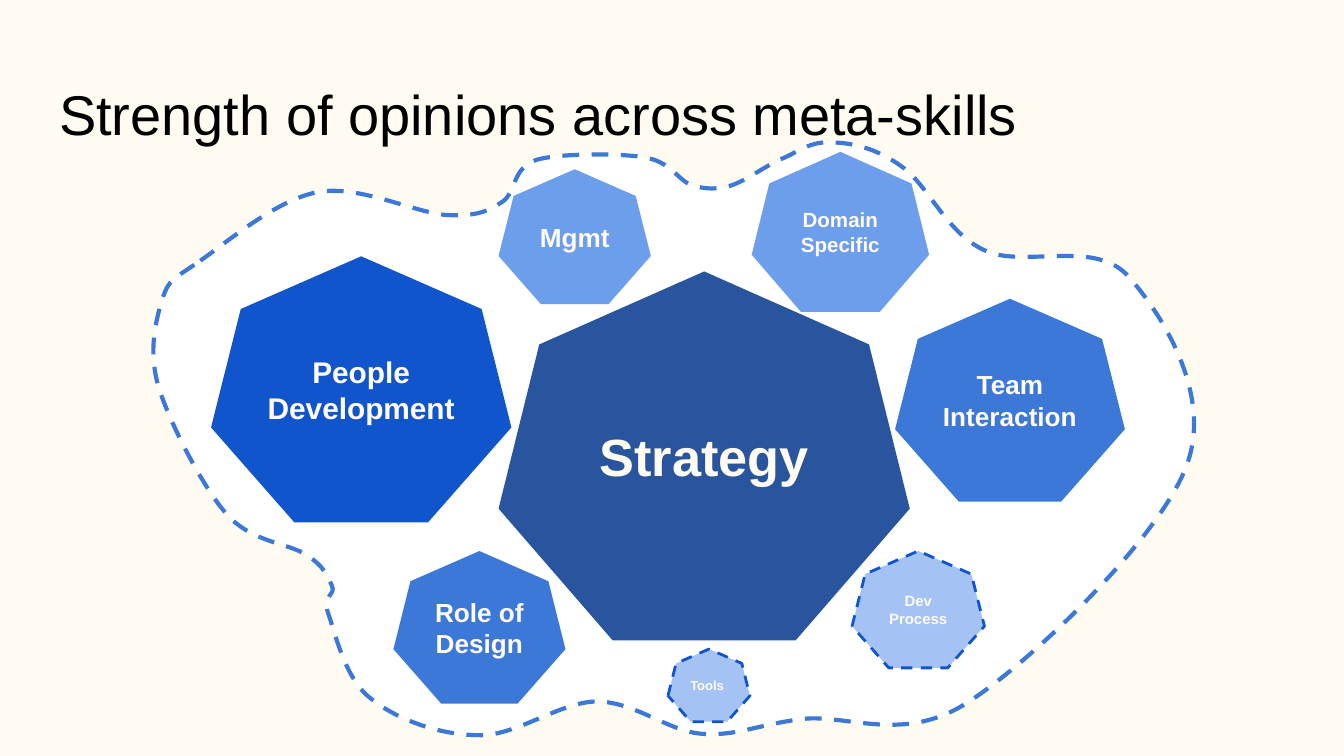
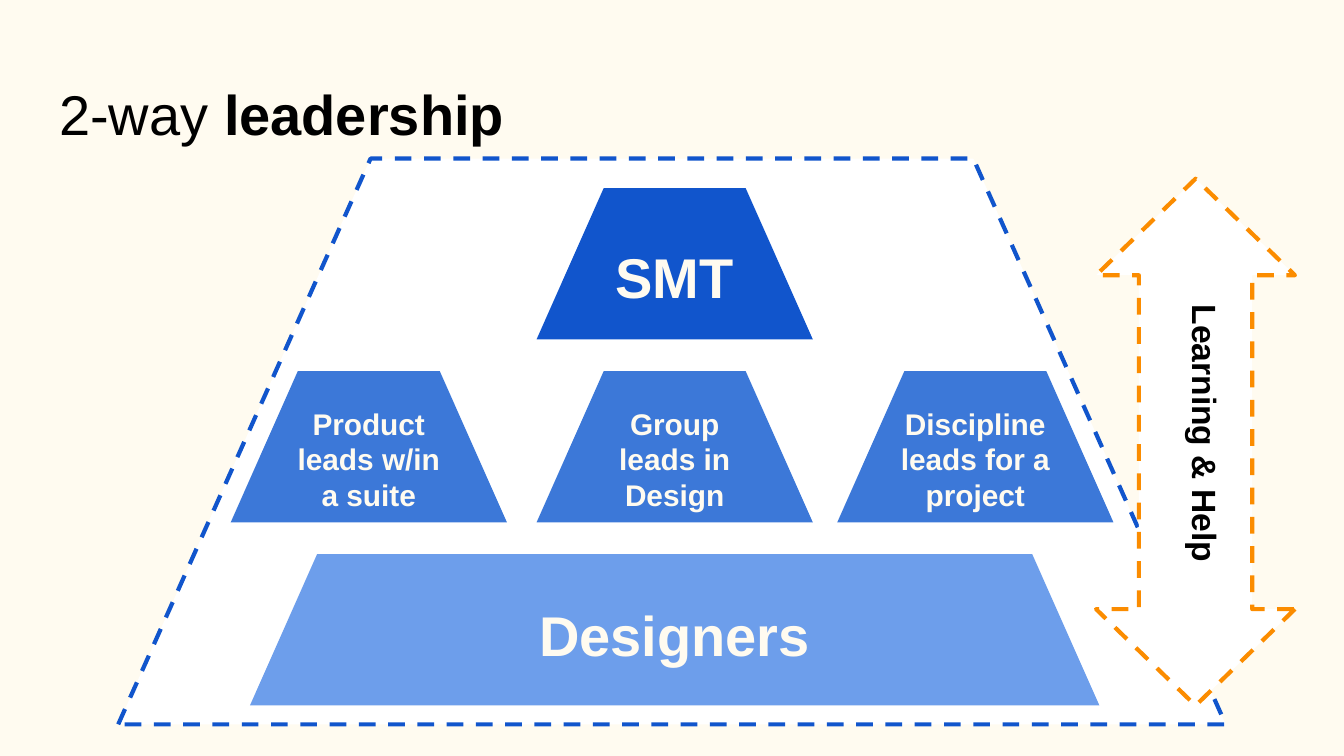
from lxml import etree
from pptx import Presentation
from pptx import util as u
from pptx.dml.color import RGBColor
from pptx.enum import dml, shapes, text
from pptx.oxml.ns import qn

# The grid: 100 columns by 56.25 rows of square cells
CELL = u.Inches(0.1)
COLS, ROWS = 100, 56.25
FONT = "Arial"
HUES = {
    "cream": "FFFBF0", "white": "FFFFFF", "black": "000000",
    "navy": "204F9B", "royal": "1155CC", "blue": "3C78D8",
    "sky": "6D9EEB", "pale": "A4C2F4", "orange": "FB8C00",
}
KIND = shapes.MSO_SHAPE
MID = text.PP_ALIGN.CENTER

# Label, size, fill, (column, row, width, height), dashed outline
SKILLS = [
    ("Strategy", 28, "navy", (37.1, 20.2, 30.6, 27.45), False),
    ("Domain Specific", 11, "sky", (55.93, 11.3, 13.2, 11.9), False),
    ("Team Interaction", 14, "blue", (66.6, 22.23, 17.1, 15.1), False),
    ("Mgmt", 14, "sky", (37.1, 12.6, 11.33, 10.03), False),
    ("People Development", 16, "royal", (15.7, 19.07, 22.35, 19.8), False),
    ("Role of Design", 14, "blue", (29.27, 41, 12.8, 11.35), False),
    ("Tools ", 7, "pale", (49.7, 48.3, 6.1, 5.4), True),
    ("Dev Process", 8, "pale", (63.4, 41, 9.85, 8.7), True),
]

# Cloud outline: its box, a start point, then two handles and an end per curve
CLOUD = (11.4, 10.5, 77.5, 44.2)
START = (14.9, 19.4)
CURVES = [
    (16.8, 18.1, 20.5, 14.9, 23.6, 14.3), (26.7, 13.7, 31, 15.9, 33.3, 16),
    (35.6, 16.1, 36.3, 15.7, 37.4, 15), (38.4, 14.3, 38.1, 12.5, 39.9, 11.9),
    (41.6, 11.4, 46, 11.4, 47.9, 11.7), (49.9, 12, 50.4, 13.4, 51.5, 13.8),
    (52.6, 14.1, 53.3, 14.1, 54.4, 13.8), (55.6, 13.4, 57, 12.3, 58.2, 11.8),
    (59.4, 11.3, 60.3, 10.5, 61.8, 10.6), (63.3, 10.6, 65.2, 11, 67.1, 12.4),
    (69, 13.7, 70.4, 17.3, 73.2, 18.6), (76, 20, 81.2, 17.8, 83.8, 20.4),
    (86.3, 23.1, 90.3, 29.3, 88.3, 34.6), (86.4, 39.9, 76.9, 49.1, 72.1, 52.2),
    (67.3, 55.4, 63, 53.1, 59.7, 53.5), (56.4, 53.9, 54.8, 54.8, 52.2, 54.6),
    (49.7, 54.4, 47.2, 52.2, 44.4, 52.2), (41.7, 52.2, 38.4, 54.8, 35.6, 54.7),
    (32.7, 54.7, 29.4, 53.5, 27.5, 51.9), (25.6, 50.4, 24.9, 46.9, 24.4, 45.6),
    (24, 44.2, 25, 44.3, 24.7, 43.6), (24.4, 42.9, 24.1, 42.1, 22.8, 41.3),
    (21.5, 40.4, 18.8, 40.4, 16.9, 38.3), (15.1, 36.3, 12.6, 31.4, 11.8, 28.8),
    (11, 26.1, 11.6, 23.8, 12.1, 22.2), (12.6, 20.7, 12.9, 20.8, 14.9, 19.4),
]


def rgb(hue):
    return RGBColor.from_string(HUES[hue])


def cells(nums):
    return [u.Emu(round(n * CELL)) for n in nums]


def place(shape, box):
    shape.left, shape.top, shape.width, shape.height = cells(box)


def write(shape, *runs, size, hue="cream", bold=True, align=MID,
          anchor=text.MSO_ANCHOR.MIDDLE):
    """Write runs, each a string or a (string, bold) pair, as one paragraph."""
    frame = shape.text_frame
    frame.word_wrap = True
    frame.auto_size = text.MSO_AUTO_SIZE.NONE
    frame.vertical_anchor = anchor
    frame.margin_left = frame.margin_right = CELL
    frame.margin_top = frame.margin_bottom = CELL
    para = frame.paragraphs[0]
    para.alignment = align
    para.line_spacing = 1.0
    para.space_before = u.Pt(0)
    for item in runs:
        words, heavy = (item, bold) if isinstance(item, str) else item
        run = para.add_run()
        run.text = words
        run.font.name = FONT
        run.font.size = u.Pt(size)
        run.font.bold = heavy
        run.font.color.rgb = rgb(hue)


def paint(shape, fill, line=None, width=2.25, alpha=None):
    shape.shadow.inherit = False
    shape.fill.solid()
    shape.fill.fore_color.rgb = rgb(fill)
    if alpha:
        tint = shape.element.spPr.find(qn("a:solidFill"))[0]
        etree.SubElement(tint, qn("a:alpha")).set("val", str(alpha * 1000))
    if line:
        shape.line.color.rgb = rgb(line)
        shape.line.width = u.Pt(width)
        shape.line.dash_style = dml.MSO_LINE.DASH
    else:
        shape.line.fill.background()


def block(home, kind, box, fill, adj=None, **look):
    """Add a preset shape; adj maps the names of its guides to shares."""
    shape = home.shapes.add_shape(kind, *cells(box))
    if adj:
        guides = shape.element.spPr.find(qn("a:prstGeom")).find(qn("a:avLst"))
        for old in list(guides):
            guides.remove(old)
        for name, part in adj.items():
            etree.SubElement(guides, qn("a:gd"), name=name,
                             fmla=f"val {round(part * 100000)}")
    paint(shape, fill, **look)
    return shape


def cloud(slide):
    """Build the outline from its knots, then bend each side to its handles."""
    pen = slide.shapes.build_freeform(*cells(START))
    pen.add_line_segments([cells(c[4:]) for c in CURVES], close=True)
    shape = pen.convert_to_shape()
    place(shape, CLOUD)
    trace = next(shape.element.iter(qn("a:path")))
    trace.set("w", str(shape.width))
    trace.set("h", str(shape.height))

    def put(home, x, y):
        x, y = cells((x - CLOUD[0], y - CLOUD[1]))
        etree.SubElement(home, qn("a:pt"), x=str(x), y=str(y))

    for part in list(trace):
        trace.remove(part)
    put(etree.SubElement(trace, qn("a:moveTo")), *START)
    for curve in CURVES:
        bend = etree.SubElement(trace, qn("a:cubicBezTo"))
        for i in (0, 2, 4):
            put(bend, *curve[i:i + 2])
    etree.SubElement(trace, qn("a:close"))
    paint(shape, "white", line="blue")
    return shape


def start(deck, *runs):
    slide = deck.slides.add_slide(deck.slide_layouts[5])
    head = slide.shapes.title
    place(head, (3.4, 4.9, 93.2, 6.7))
    write(head, *runs, size=30, hue="black", bold=False,
          align=text.PP_ALIGN.LEFT, anchor=text.MSO_ANCHOR.TOP)
    return slide


def behind(slide, shape):
    """Move a backdrop under the title."""
    slide.shapes.title.element.addprevious(shape.element)


def skills(deck):
    slide = start(deck, "Strength of opinions across meta-skills")
    behind(slide, cloud(slide))
    for label, size, fill, box, dashed in SKILLS:
        shape = block(slide, KIND.HEPTAGON, box, fill, width=1.5,
                      line="royal" if dashed else None,
                      alpha=96 if fill == "navy" else None)
        write(shape, label, size=size)


def tier(slide, row, label, col, size, fill, width=20.55):
    shape = block(slide, KIND.TRAPEZOID, (col, row, width, 11.25), fill,
                  {"adj": 0.444})
    write(shape, label, size=size)


def arrow(slide):
    group = slide.shapes.add_group_shape()
    shape = block(group, KIND.UP_DOWN_ARROW, (81.55, 13.3, 14.8, 39.2),
                  "white", {"adj1": 0.57, "adj2": 0.485}, line="orange")
    shape.rotation = 180
    note = group.shapes.add_textbox(*cells((77.3, 30.05, 25.4, 4.4)))
    note.rotation = 90
    write(note, "Learning & Help", size=18, hue="black",
          anchor=text.MSO_ANCHOR.TOP)


def leaders(deck):
    slide = start(deck, "2-way ", ("leadership", True))
    behind(slide, block(slide, KIND.TRAPEZOID, (8.8, 11.8, 82.4, 42.1),
                        "white", {"adj": 0.446}, line="royal"))
    top, mid, low = (14 + 13.62 * i for i in range(3))
    tier(slide, top, "SMT", 39.93, 30, "royal")
    for label, col in (("Discipline leads for a project", 62.3),
                       ("Product leads w/in a suite", 17.17),
                       ("Group leads in Design", 39.93)):
        tier(slide, mid, label, col, 16, "blue")
    tier(slide, low, "Designers", 18.6, 30, "sky", width=63.2)
    arrow(slide)


def main():
    deck = Presentation()
    deck.slide_width, deck.slide_height = cells((COLS, ROWS))
    back = deck.slide_master.background.fill
    back.solid()
    back.fore_color.rgb = rgb("cream")
    skills(deck)
    leaders(deck)
    deck.save("out.pptx")


if __name__ == "__main__":
    main()
